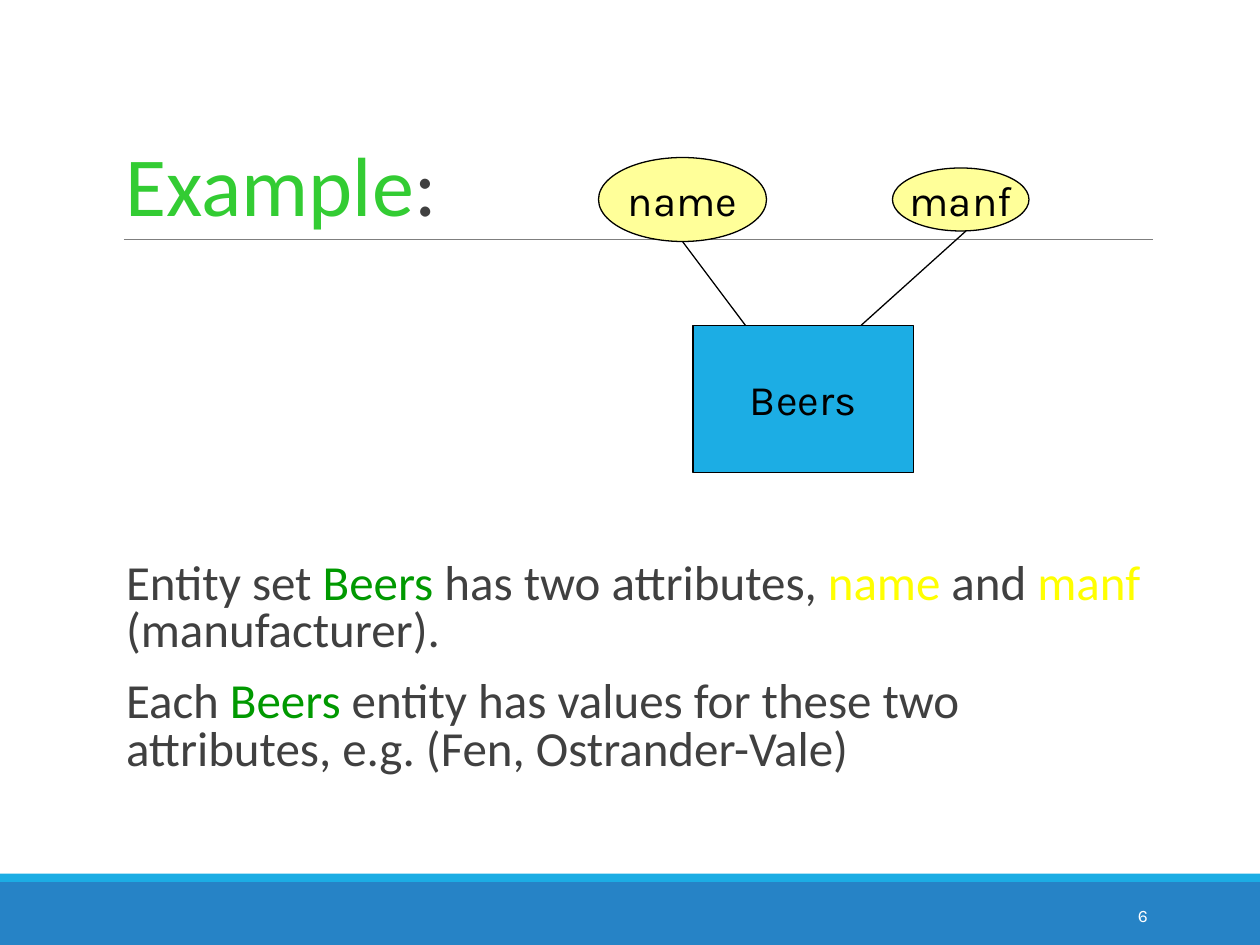
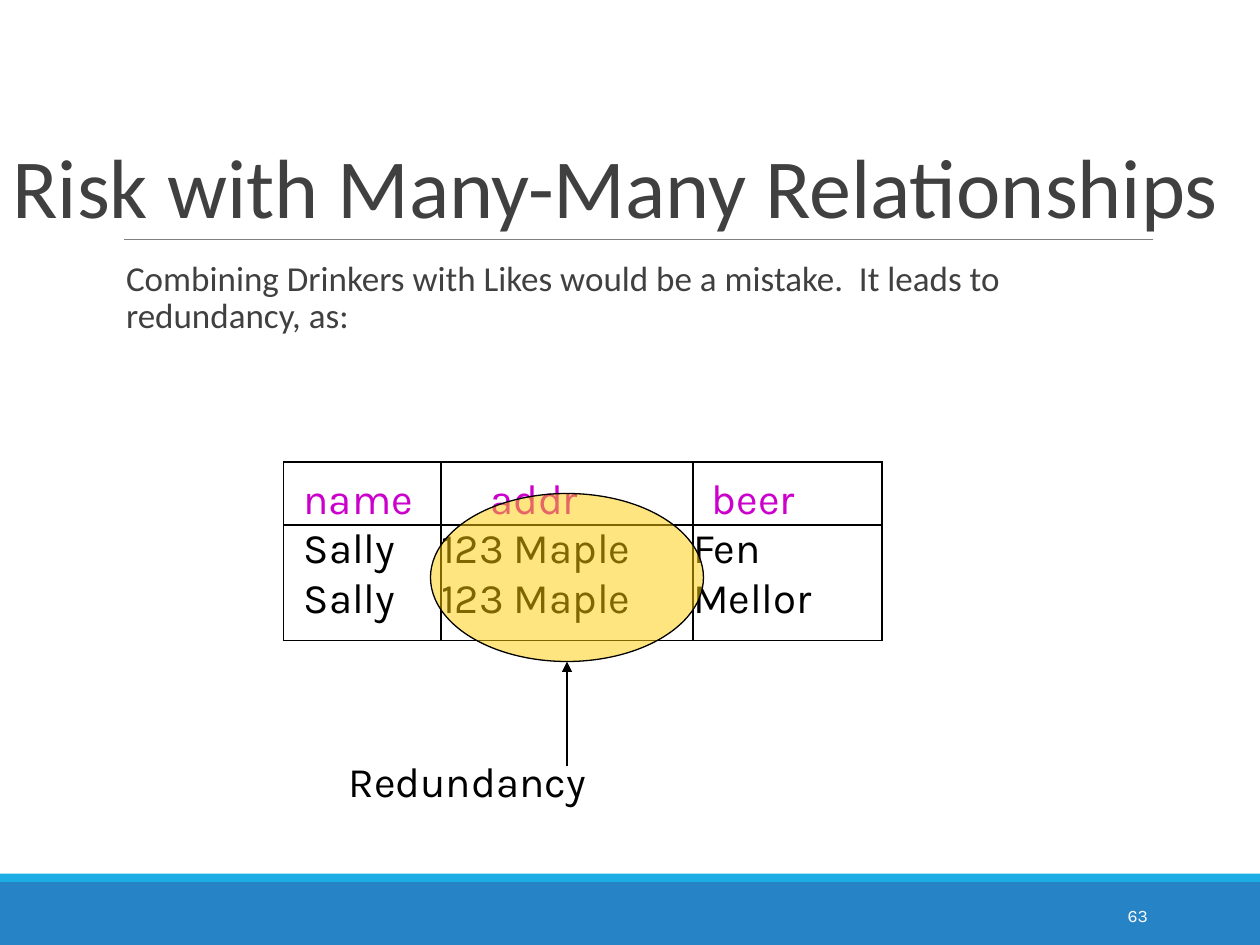
import pptx
import pptx.dml.color
import pptx.enum.shapes
import pptx.enum.text
import pptx.oxml
import pptx.oxml.ns
import pptx.util

SHAPE = pptx.enum.shapes.MSO_SHAPE
ALIGN = pptx.enum.text.PP_ALIGN
ANCHOR = pptx.enum.text.MSO_ANCHOR
COLUMNS, ROWS = 120, 90
HEADING_FONT, DIAGRAM_FONT = "Calibri", "Karla"
INK, BLACK, WHITE = "404040", "000000", "FFFFFF"
BLUE, SKY, GRAY = "2683C6", "1CADE4", "7F7F7F"
LIME, GREEN, YELLOW = "33CC33", "009900", "FFFF00"
CREAM, GOLD, MAGENTA = "FFFF99", "FFCC00", "CC00CC"


def rgb(code):
    """Turn a hex string into a colour."""
    return pptx.dml.color.RGBColor.from_string(code)


def add_xml(parent, tag, position=None, **attributes):
    """Add a drawing element to a parent and return it."""
    element = pptx.oxml.parse_xml(
        f'<a:{tag} xmlns:a="http://schemas.openxmlformats.org/drawingml/2006/main"/>')
    for key, value in attributes.items():
        element.set(key, str(value))
    parent.insert(len(parent) if position is None else position, element)
    return element


def write(frame, *paragraphs, size=24, font=DIAGRAM_FONT, color=BLACK, align=ALIGN.LEFT,
          spacing=None, before=0, after=0, indent=0):
    """Write paragraphs, each a string or a list of strings and (text, colour) pairs."""
    for number, content in enumerate(paragraphs):
        paragraph = frame.add_paragraph() if number else frame.paragraphs[0]
        paragraph.alignment = align
        paragraph.line_spacing = spacing
        paragraph.space_before = pptx.util.Pt(before)
        paragraph.space_after = pptx.util.Pt(after)
        paragraph._p.get_or_add_pPr().set("marL", str(pptx.util.Inches(indent)))
        for part in [content] if isinstance(content, str) else content:
            text, run_color = (part, color) if isinstance(part, str) else part
            run = paragraph.add_run()
            run.text = text
            run.font.size = pptx.util.Pt(size)
            run.font.name = font
            run.font.bold = False
            run.font.color.rgb = rgb(run_color)


class Deck:
    """Holds the shared style and the current slide; lengths are grid columns and rows."""

    def __init__(self):
        """Open a presentation of ten by seven and a half inches."""
        self.file = pptx.Presentation()
        self.file.slide_width = pptx.util.Inches(10)
        self.file.slide_height = pptx.util.Inches(7.5)
        self.slide = None

    def x(self, columns):
        """Convert grid columns to a length."""
        return round(self.file.slide_width * columns / COLUMNS)

    def y(self, rows):
        """Convert grid rows to a length."""
        return round(self.file.slide_height * rows / ROWS)

    def box(self, left, top, width, height):
        """Convert a grid box to lengths."""
        return self.x(left), self.y(top), self.x(width), self.y(height)

    def start(self, title, number, title_box):
        """Start a slide with its bands, rule, title and number."""
        self.slide = self.file.slides.add_slide(self.file.slide_layouts[6])
        self.shape(SHAPE.RECTANGLE, (0, 84, 120, 6), BLUE, line=None)
        self.shape(SHAPE.RECTANGLE, (0, 83.2, 120, 0.8), SKY, line=None)
        self.line((11.8, 22.8), (109.8, 22.8), GRAY, 0.5)
        self.text(title_box, title, anchor=ANCHOR.BOTTOM, size=48, font=HEADING_FONT,
                  color=INK, spacing=0.85)
        self.text((97.5, 84.75, 13, 4.8), str(number), anchor=ANCHOR.MIDDLE, size=10,
                  color=WHITE, align=ALIGN.RIGHT)

    def text(self, box, *paragraphs, anchor=ANCHOR.TOP, inset=0.1, **style):
        """Add a wrapped text box."""
        frame = self.slide.shapes.add_textbox(*self.box(*box)).text_frame
        frame.word_wrap = True
        frame.vertical_anchor = anchor
        frame.margin_left = frame.margin_right = pptx.util.Inches(inset)
        write(frame, *paragraphs, **style)

    def body(self, top, *paragraphs, **style):
        """Add body text that ends above the bands."""
        self.text((10.8, top, 99, 77 - top), *paragraphs, inset=0, font=HEADING_FONT,
                  color=INK, before=12, after=2, indent=0.1, **style)

    def shape(self, kind, box, fill, label=None, line=BLACK, opacity=None):
        """Add a filled preset shape with an optional centred label."""
        shape = self.slide.shapes.add_shape(kind, *self.box(*box))
        shape.shadow.inherit = False
        shape.fill.solid()
        shape.fill.fore_color.rgb = rgb(fill)
        if opacity:
            tint = shape._element.spPr.find(".//" + pptx.oxml.ns.qn("a:srgbClr"))
            add_xml(tint, "alpha", val=opacity * 1000)
        if line:
            shape.line.color.rgb = rgb(line)
            shape.line.width = pptx.util.Pt(0.75)
        else:
            shape.line.fill.background()
        if label:
            shape.text_frame.word_wrap = False
            shape.text_frame.vertical_anchor = ANCHOR.MIDDLE
            write(shape.text_frame, label, align=ALIGN.CENTER)

    def line(self, start, end, color=BLACK, width=0.75, arrow=False):
        """Add a straight connector, with an arrowhead at its end if asked."""
        connector = self.slide.shapes.add_connector(
            pptx.enum.shapes.MSO_CONNECTOR.STRAIGHT,
            self.x(start[0]), self.y(start[1]), self.x(end[0]), self.y(end[1]))
        connector.line.color.rgb = rgb(color)
        connector.line.width = pptx.util.Pt(width)
        if arrow:
            add_xml(connector.line._get_or_add_ln(), "tailEnd", type="triangle")
        add_xml(connector._element.spPr, "effectLst")

    def table(self, left, top, widths, heights, records, header_insets, body_insets):
        """Add a ruled table with a coloured header and no rules between records."""
        table = self.slide.shapes.add_table(
            len(heights), len(widths),
            *self.box(left, top, sum(widths), sum(heights))).table
        table.first_row = table.horz_banding = False
        for column, width in zip(table.columns, widths):
            column.width = self.x(width)
        last = len(records) - 1
        for r, record in enumerate(records):
            table.rows[r].height = self.y(heights[r])
            for c, value in enumerate(record):
                cell = table.cell(r, c)
                cell.margin_left = pptx.util.Inches((body_insets if r else header_insets)[c])
                cell.margin_right = cell.margin_top = cell.margin_bottom = 0
                cell.vertical_anchor = ANCHOR.TOP if r else ANCHOR.BOTTOM
                cell.fill.background()
                write(cell.text_frame, value, color=BLACK if r else MAGENTA)
                self.borders(cell, {"L": True, "R": True, "T": r < 2, "B": r in (0, last)})

    def borders(self, cell, sides):
        """Draw or clear each side of a table cell."""
        properties = cell._tc.get_or_add_tcPr()
        for position, (side, drawn) in enumerate(sides.items()):
            border = add_xml(properties, "ln" + side, position, w=pptx.util.Pt(0.75))
            if drawn:
                add_xml(add_xml(border, "solidFill"), "srgbClr", val=BLACK)
            else:
                add_xml(border, "noFill")


def entity_example(deck):
    """Build the slide on an entity set and its attributes."""
    deck.start([("Example", LIME), ":"], 6, (10.8, 3.75, 99, 19.05))
    beers = ("Beers", GREEN)
    deck.body(53,
              ["Entity set ", beers, " has two attributes, ", ("name", YELLOW), " and ",
               ("manf", YELLOW), " (manufacturer)."],
              ["Each ", beers,
               " entity has values for these two attributes, e.g. (Fen, Ostrander-Vale)"],
              size=28, spacing=0.8)
    deck.shape(SHAPE.RECTANGLE, (66, 31, 21, 14), SKY, "Beers")
    deck.shape(SHAPE.OVAL, (57, 15, 16, 8), CREAM, "name")
    deck.shape(SHAPE.OVAL, (85, 16, 13, 6), CREAM, "manf")
    deck.line((65, 23), (71, 31))
    deck.line((92, 22), (82, 31))


def redundancy_risk(deck):
    """Build the slide on redundancy in a combined relation."""
    deck.start("Risk with Many-Many Relationships", 63, (0, 8, 120, 15))
    deck.body(24.25,
              "Combining Drinkers with Likes would be a mistake.  It leads to redundancy, as:",
              size=20, spacing=0.9)
    deck.table(27, 44, (15, 24, 18), (6, 4.8, 6.2),
               [("name", "addr", "beer"),
                ("Sally", "123 Maple", "Fen"),
                ("Sally", "123 Maple", "Mellor")],
               header_insets=(0.16, 0.39, 0.15), body_insets=(0.16, 0, 0))
    deck.shape(SHAPE.OVAL, (41, 47, 26, 16), GOLD, opacity=50)
    deck.text((32, 71.4, 27, 6), "Redundancy")
    deck.line((54, 73), (54, 63), arrow=True)


def main():
    """Build and save both slides."""
    deck = Deck()
    entity_example(deck)
    redundancy_risk(deck)
    deck.file.save("out.pptx")


if __name__ == "__main__":
    main()
